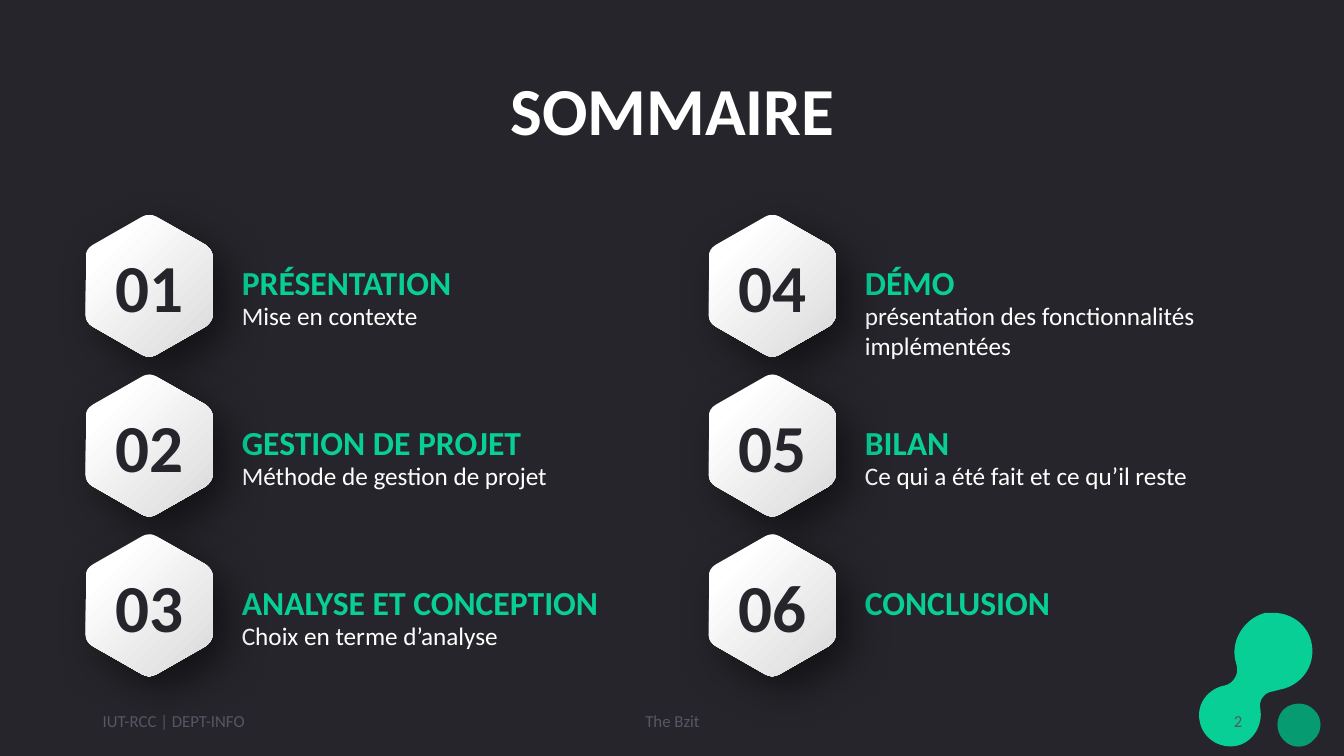
import pptx
import pptx.dml.color
import pptx.enum.text
import pptx.oxml
import pptx.oxml.ns
import pptx.util
from pptx.util import Inches

RGBColor = pptx.dml.color.RGBColor
ALIGN = pptx.enum.text.PP_ALIGN
ANCHOR = pptx.enum.text.MSO_ANCHOR

DARK = RGBColor(0x25, 0x25, 0x2B)
WHITE = RGBColor(0xFF, 0xFF, 0xFF)
SILVER = RGBColor(0xDA, 0xD9, 0xD9)
GREEN = RGBColor(0x08, 0xCF, 0x96)
DEEP_GREEN = RGBColor(0x06, 0x9B, 0x71)
GREY = RGBColor(0x57, 0x57, 0x65)
FONT = "Calibri"

# Content
TITLE = "SOMMAIRE"
SECTIONS = [  # heading, note, text width
    ("PRÉSENTATION", "Mise en contexte", 3.63),
    ("GESTION DE PROJET", "Méthode de gestion de projet", 3.63),
    ("ANALYSE ET CONCEPTION", "Choix en terme d’analyse", 3.89),
    ("DÉMO", "présentation des fonctionnalités implémentées", 3.94),
    ("BILAN", "Ce qui a été fait et ce qu’il reste", 3.63),
    ("CONCLUSION", "", 3.63),
]
FOOTERS = [  # text, left, width, alignment
    ("IUT-RCC | DEPT-INFO", 0.92, 3, ALIGN.LEFT),
    ("The Bzit", 4.42, 4.5, ALIGN.CENTER),
    ("2", 9.42, 3, ALIGN.RIGHT),
]

# Layout
ROWS = 3
COLUMN_LEFTS = (0.85, 7.03)
FIRST_TOP, LAST_TOP = 2.13, 5.3
ROW_STEP = (LAST_TOP - FIRST_TOP) / (ROWS - 1)

# Outlines: a start point, then lines (x, y) and Bézier curves (six numbers)
HEXAGON = [
    (0.63, 0), (0.65, 0, 0.68, 0.01, 0.7, 0.02),
    (1.19, 0.3), (1.23, 0.33, 1.26, 0.37, 1.26, 0.42),
    (1.26, 0.99), (1.26, 1.04, 1.23, 1.08, 1.19, 1.11),
    (0.7, 1.39), (0.68, 1.4, 0.65, 1.41, 0.63, 1.41),
    (0.61, 1.41, 0.58, 1.4, 0.56, 1.39),
    (0.07, 1.11), (0.02, 1.08, 0, 1.04, 0, 0.99),
    (0, 0.42), (0, 0.37, 0.02, 0.33, 0.07, 0.3),
    (0.56, 0.02), (0.58, 0.01, 0.6, 0, 0.63, 0),
]
BLOB = [
    (13.01, 6.39), (13.05, 6.6, 12.91, 6.8, 12.7, 6.84),
    (12.62, 6.86), (12.54, 6.87, 12.48, 6.95, 12.5, 7.03),
    (12.53, 7.2, 12.42, 7.37, 12.26, 7.4),
    (12.09, 7.43, 11.93, 7.32, 11.9, 7.16),
    (11.86, 6.99, 11.98, 6.83, 12.15, 6.8),
    (12.23, 6.78, 12.28, 6.7, 12.27, 6.62),
    (12.25, 6.54), (12.21, 6.34, 12.35, 6.13, 12.55, 6.08),
    (12.58, 6.08, 12.61, 6.08, 12.63, 6.08),
    (12.82, 6.08, 12.98, 6.21, 13.01, 6.39),
]
DOT = [
    (13.03, 7.04), (13.12, 7.12, 13.12, 7.26, 13.03, 7.34),
    (12.95, 7.43, 12.81, 7.43, 12.73, 7.34),
    (12.65, 7.26, 12.65, 7.12, 12.73, 7.04),
    (12.77, 7, 12.83, 6.98, 12.88, 6.98),
    (12.94, 6.98, 12.99, 7, 13.03, 7.04),
]
SHADOW = (
    '<a:effectLst %s><a:outerShdw blurRad="381000" dist="177800" dir="2700000"'
    ' algn="tl" rotWithShape="0"><a:srgbClr val="000000"><a:alpha val="50000"/>'
    '</a:srgbClr></a:outerShdw></a:effectLst>' % pptx.oxml.ns.nsdecls("a"))


def add_outline(outline, color, left=0, top=0):
    points = [(Inches(left + segment[k]), Inches(top + segment[k + 1]))
              for segment in outline for k in range(0, len(segment), 2)]
    builder = s.shapes.build_freeform(*points[0])
    builder.add_line_segments(points[1:], close=True)
    sp = builder.convert_to_shape()
    # Join the three points of each curve into one Bézier segment
    lines = iter(list(sp._element.iter(pptx.oxml.ns.qn("a:lnTo"))))
    for segment in outline[1:]:
        line = next(lines)
        if len(segment) == 6:
            curve = pptx.oxml.parse_xml(
                "<a:cubicBezTo %s/>" % pptx.oxml.ns.nsdecls("a"))
            line.addprevious(curve)
            for part in (line, next(lines), next(lines)):
                curve.append(part[0])
                part.getparent().remove(part)
    sp.shadow.inherit = False
    sp.line.fill.background()
    sp.fill.solid()
    sp.fill.fore_color.rgb = color
    return sp


def set_text(sp, text, size, color, bold=False, align=ALIGN.LEFT,
             anchor=ANCHOR.MIDDLE, insets=(0.1, 0.05, 0.1, 0.05)):
    tf = sp.text_frame
    tf.text = text
    tf.word_wrap = True
    tf.vertical_anchor = anchor
    tf.margin_left, tf.margin_top, tf.margin_right, tf.margin_bottom = map(Inches, insets)
    p = tf.paragraphs[0]
    p.alignment = align
    font = p.runs[0].font
    font.name, font.size, font.bold = FONT, pptx.util.Pt(size), bold
    font.color.rgb = color
    return tf


def add_text(left, top, width, height, *args, **kwargs):
    sp = s.shapes.add_textbox(*map(Inches, (left, top, width, height)))
    return set_text(sp, *args, **kwargs)


def add_badge(number, left, top):
    sp = add_outline(HEXAGON, WHITE, left, top)
    sp.fill.gradient()
    sp.fill.gradient_angle = 315
    for stop, position, color in zip(sp.fill.gradient_stops, (0.2, 1), (WHITE, SILVER)):
        stop.position = position
        stop.color.rgb = color
    effects = sp._element.spPr.find(pptx.oxml.ns.qn("a:effectLst"))
    effects.getparent().replace(effects, pptx.oxml.parse_xml(SHADOW))
    set_text(sp, f"{number:02}", 48, DARK, True, ALIGN.CENTER,
             insets=(0.06, 0.03, 0.06, 0.03))


prs = pptx.Presentation()
prs.slide_width, prs.slide_height = Inches(13.33), Inches(7.5)
s = prs.slides.add_slide(prs.slide_layouts[5])
s.background.fill.solid()
s.background.fill.fore_color.rgb = DARK

# Corner decoration
add_outline(BLOB, GREEN)
add_outline(DOT, DEEP_GREEN)

# Title
title = s.shapes.title
title.left, title.top, title.width, title.height = map(Inches, (0.92, 0.4, 11.5, 1.45))
tf = set_text(title, TITLE, 48, WHITE, True, ALIGN.CENTER)
tf.paragraphs[0].line_spacing = 0.9

# Footer
for text, left, width, align in FOOTERS:
    add_text(left, 6.95, width, 0.4, text, 12, GREY, align=align)

# Agenda, filled column by column
for i, (heading, note, width) in enumerate(SECTIONS):
    column, row = divmod(i, ROWS)
    left, top = COLUMN_LEFTS[column], FIRST_TOP + row * ROW_STEP
    add_text(left + 1.45, top + 0.26, width, 0.61, heading, 24, GREEN, True,
             anchor=ANCHOR.BOTTOM, insets=(0.1, 0.2, 0.1, 0))
    if note:
        tf = add_text(left + 1.45, top + 0.85, width, 0.3, note, 18, WHITE,
                      anchor=ANCHOR.TOP, insets=(0.1, 0, 0.1, 0))
        tf.auto_size = pptx.enum.text.MSO_AUTO_SIZE.SHAPE_TO_FIT_TEXT
    add_badge(i + 1, left, top)

prs.save("out.pptx")
